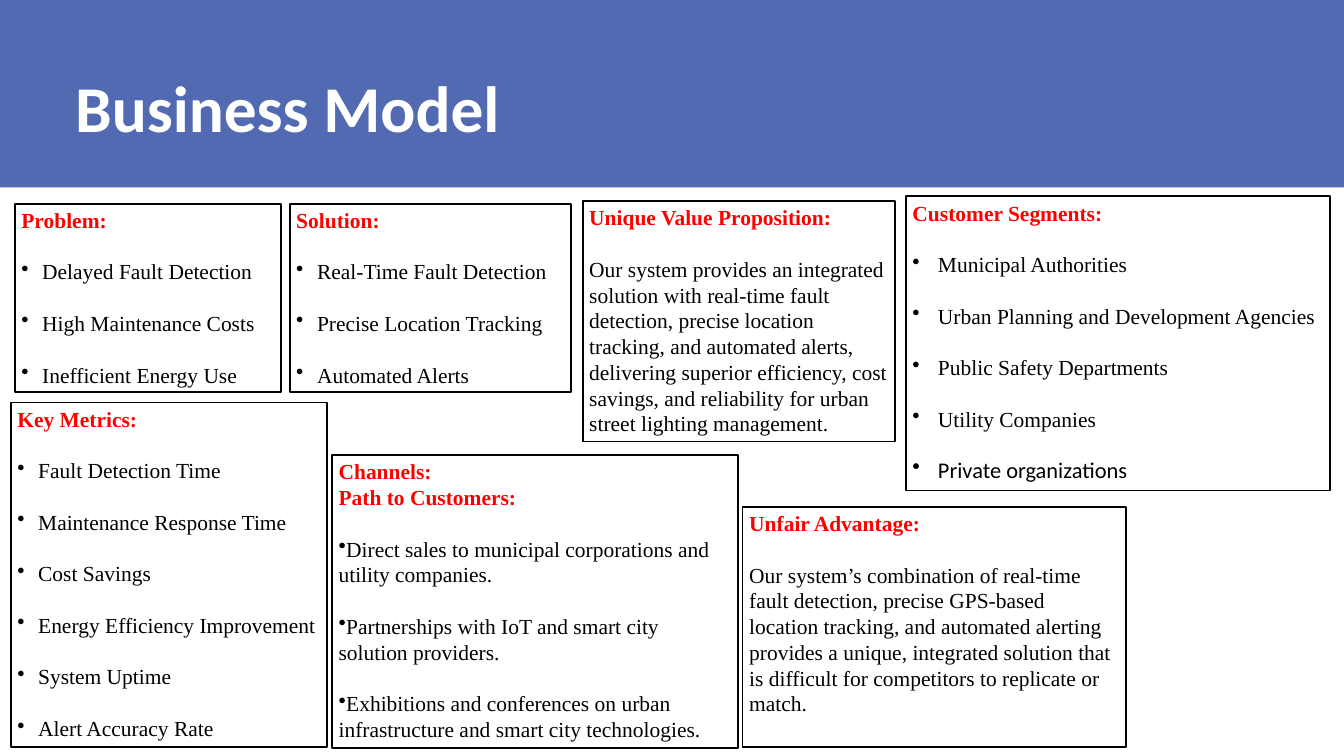
from lxml.etree import SubElement
from pptx import Presentation
from pptx.dml.color import RGBColor
from pptx.enum.shapes import MSO_SHAPE as Preset
from pptx.enum.text import MSO_ANCHOR as Anchor, PP_ALIGN as Align
from pptx.oxml.ns import qn
from pptx.util import Emu, Pt

EMU_PER_PX = 9144
SERIF, SANS = "Times New Roman", "Calibri"
LINE_PITCH = Pt(27.6)
HEADING = {"name": SERIF, "size": Pt(23), "bold": True}
BODY = {"name": SERIF, "size": Pt(23), "bold": False}
SANS_BODY = {"name": SANS, "size": Pt(24), "bold": False}
TITLE = {"name": SANS, "size": Pt(70), "bold": True}

CARDS = [
    {"box": (22, 303, 396, 281), "headings": ["Problem:"], "indent": 31,
     "bullets": ["Delayed Fault Detection", "High Maintenance Costs",
                 "Inefficient Energy Use"]},
    {"box": (431, 303, 419, 281), "headings": ["Solution:"], "indent": 31,
     "bullets": ["Real-Time Fault Detection", "Precise Location Tracking",
                 "Automated Alerts"]},
    {"box": (16, 599, 471, 513), "headings": ["Key Metrics:"], "indent": 31,
     "bullets": ["Fault Detection Time", "Maintenance Response Time",
                 "Cost Savings", "Energy Efficiency Improvement",
                 "System Uptime", "Alert Accuracy Rate"]},
    {"box": (867, 299, 465, 358), "headings": ["Unique Value Proposition:"],
     "prose": "Our system provides an integrated solution with real-time "
              "fault detection, precise location tracking, and automated "
              "alerts, delivering superior efficiency, cost savings, and "
              "reliability for urban street lighting management."},
    {"box": (1105, 754, 571, 358), "headings": ["Unfair Advantage:"],
     "prose": "Our system’s combination of real-time fault detection, "
              "precise GPS-based location tracking, and automated alerting "
              "provides a unique, integrated solution that is difficult for "
              "competitors to replicate or match."},
    {"box": (1348, 292, 631, 438), "headings": ["Customer Segments:"],
     "indent": 38, "last_format": SANS_BODY,
     "bullets": ["Municipal Authorities",
                 "Urban Planning and Development Agencies",
                 "Public Safety Departments", "Utility Companies",
                 "Private organizations"]},
    {"box": (494, 677, 604, 436),
     "headings": ["Channels:", "Path to Customers:"], "indent": 0,
     "bullets": ["Direct sales to municipal corporations and utility "
                 "companies.",
                 "Partnerships with IoT and smart city solution providers.",
                 "Exhibitions and conferences on urban infrastructure and "
                 "smart city technologies."]},
]


def px(length):
    """Turn a px length into EMU."""
    return Emu(length * EMU_PER_PX)


def paint(color_format, hex_color):
    """Set a colour from a hex string."""
    color_format.rgb = RGBColor.from_string(hex_color)


def add_rect(slide, box, fill):
    """Add a plain filled rectangle without outline or shadow."""
    rect = slide.shapes.add_shape(Preset.RECTANGLE, *map(px, box))
    rect.shadow.inherit = False
    rect.fill.solid()
    paint(rect.fill.fore_color, fill)
    rect.line.fill.background()
    return rect


def write(paragraph, text, font_format, color, pitch=LINE_PITCH):
    """Write one run in a left-aligned paragraph."""
    paragraph.alignment = Align.LEFT
    paragraph.line_spacing = pitch
    run = paragraph.add_run()
    run.text = text
    for attribute, value in font_format.items():
        setattr(run.font, attribute, value)
    paint(run.font.color, color)


def add_bullet(paragraph, indent):
    """Give a paragraph a round bullet with a hanging indent."""
    properties = paragraph._p.get_or_add_pPr()
    properties.set("marL", str(px(indent)))
    properties.set("indent", str(px(-indent)))
    SubElement(properties, qn("a:buChar")).set("char", "•")


def add_header(slide, box):
    """Draw the title band and its title."""
    left, top, width, height = box
    add_rect(slide, box, "516AB2")
    title_box = (left + 112, top + 109, width - 306, height - 170)
    frame = slide.shapes.add_textbox(*map(px, title_box)).text_frame
    frame.word_wrap = True
    for side in ("left", "top", "right", "bottom"):
        setattr(frame, f"margin_{side}", 0)
    write(frame.paragraphs[0], "Business Model", TITLE, "FFFFFF", Pt(77))


def add_card(slide, box, headings, bullets=(), prose=None, indent=0,
             last_format=BODY):
    """Draw an outlined card with red headings above bullets or prose."""
    card = add_rect(slide, box, "FFFFFF")
    paint(card.line.color, "000000")
    card.line.width = Pt(2)
    frame = card.text_frame
    frame.word_wrap = True
    frame.vertical_anchor = Anchor.TOP
    for number, heading in enumerate(headings):
        paragraph = frame.add_paragraph() if number else frame.paragraphs[0]
        write(paragraph, heading, HEADING, "FF0000")
    entries = bullets or [prose]
    for number, entry in enumerate(entries, start=1):
        paragraph = frame.add_paragraph()
        if bullets:
            add_bullet(paragraph, indent)
        paragraph.space_before = LINE_PITCH
        font_format = last_format if number == len(entries) else BODY
        write(paragraph, entry, font_format, "000000")


def main():
    """Build the business model slide."""
    deck = Presentation()
    deck.slide_width, deck.slide_height = px(2000), px(1125)
    slide = deck.slides.add_slide(deck.slide_layouts[6])
    add_header(slide, (0, 0, 2000, 279))
    for card in CARDS:
        add_card(slide, **card)
    deck.save("out.pptx")


if __name__ == "__main__":
    main()
